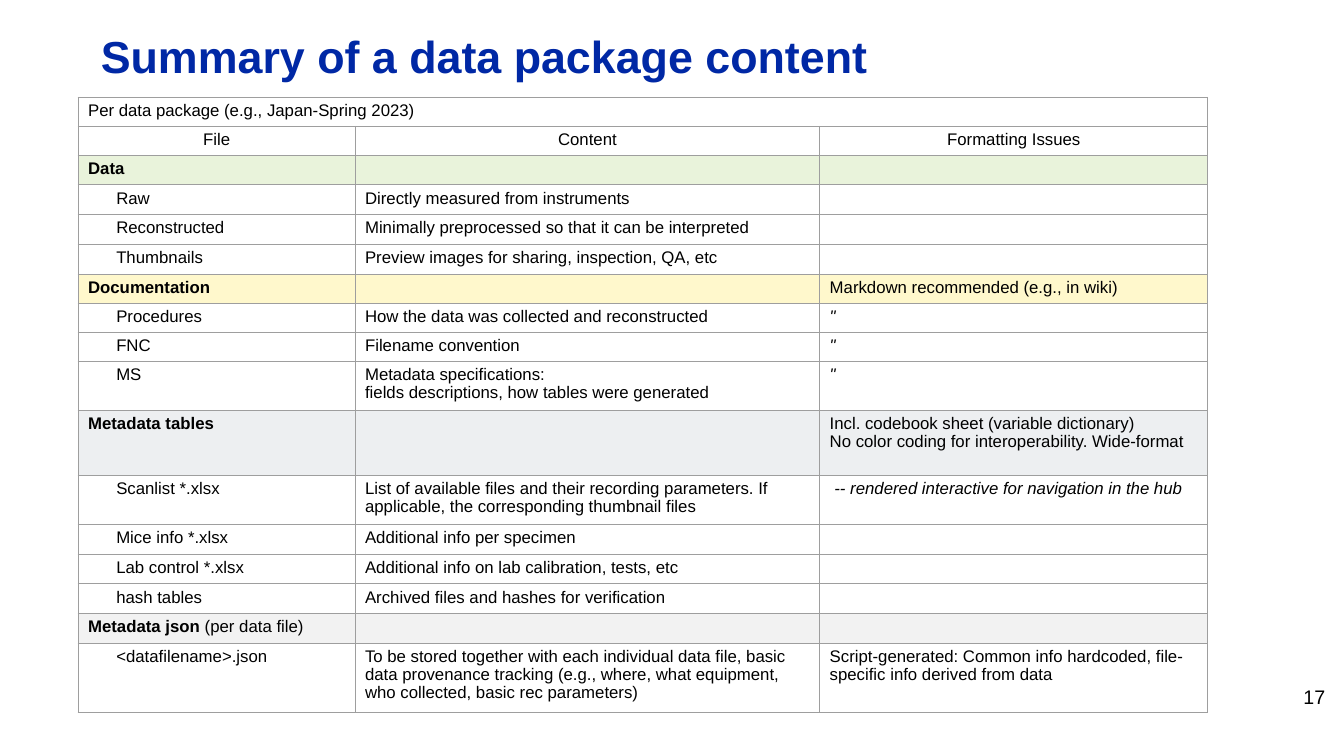
"""Build the slide that summarises the content of a data package in one table."""
import pptx
import pptx.util
import pptx.dml.color
import pptx.enum.text
import lxml.etree
from dataclasses import dataclass
from pptx.util import Cm

TITLE = "Summary of a data package content"
PAGE_NUMBER = "17"
CAPTION = "Per data package (e.g., Japan-Spring 2023)"
HEADINGS = ("File", "Content", "Formatting Issues")
DITTO = '"'
REMARK = " -- rendered interactive for navigation in the hub"
ITALIC = (DITTO, REMARK)

SECTIONS = [
    ("Data", "", "", "E9F3DB", [
        ("Raw", "Directly measured from instruments", ""),
        ("Reconstructed", "Minimally preprocessed so that it can be interpreted", ""),
        ("Thumbnails", "Preview images for sharing, inspection, QA, etc", ""),
    ]),
    ("Documentation", "", "Markdown recommended (e.g., in wiki)", "FFF8CC", [
        ("Procedures", "How the data was collected and reconstructed", DITTO),
        ("FNC", "Filename convention", DITTO),
        ("MS", "Metadata specifications:\nfields descriptions, how tables were generated", DITTO),
    ]),
    ("Metadata tables", "",
     "Incl. codebook sheet (variable dictionary)\n"
     "No color coding for interoperability. Wide-format", "EDEFF1", [
        ("Scanlist *.xlsx", "List of available files and their recording parameters. "
         "If applicable, the corresponding thumbnail files", REMARK),
        ("Mice info *.xlsx", "Additional info per specimen", ""),
        ("Lab control *.xlsx", "Additional info on lab calibration, tests, etc", ""),
        ("hash tables", "Archived files and hashes for verification", ""),
     ]),
    ("Metadata json", " (per data file)", "", "F2F2F2", [
        ("<datafilename>.json", "To be stored together with each individual data file, basic "
         "data provenance tracking (e.g., where, what equipment, who collected, "
         "basic rec parameters)",
         "Script-generated: Common info hardcoded, file-specific info derived from data"),
    ]),
]

ROW_HEIGHT = 0.73
TALL_ROWS = {"MS": 1.23, "Metadata tables": 1.64, "Scanlist *.xlsx": 1.23,
             "<datafilename>.json": 1.73}
COLUMN_WIDTHS = (6.98, 11.71, 9.78)


@dataclass(frozen=True)
class Theme:
    """Colours, font and type sizes."""
    font: str = "Arial"
    title: str = "0028A5"
    text: str = "000000"
    border: str = "9E9E9E"
    title_size: float = 32
    table_size: float = 12
    number_size: float = 14
    border_width: float = 0.75


THEME = Theme()
ALIGN = pptx.enum.text.PP_ALIGN
ANCHOR = pptx.enum.text.MSO_ANCHOR


def colour(value):
    """Turn a hex string into a colour."""
    return pptx.dml.color.RGBColor.from_string(value)


def style(span, size, ink=THEME.text, bold=False, italic=False):
    """Format one run."""
    span.font.name = THEME.font
    span.font.size = pptx.util.Pt(size)
    span.font.color.rgb = colour(ink)
    span.font.bold = bold
    span.font.italic = italic


def add_text(page, text, place, size, ink, bold, align, anchor, top_inset):
    """Add a single-line text box."""
    box = page.shapes.add_textbox(*(Cm(length) for length in place))
    frame = box.text_frame
    frame.word_wrap = True
    frame.margin_left = frame.margin_right = frame.margin_bottom = 0
    frame.margin_top = Cm(top_inset)
    frame.vertical_anchor = anchor
    frame.text = text
    frame.paragraphs[0].alignment = align
    style(frame.paragraphs[0].runs[0], size, ink, bold)


def add_child(parent, tag, **attributes):
    """Append a DrawingML element."""
    child = lxml.etree.SubElement(parent, pptx.oxml.ns.qn(tag))
    for name, value in attributes.items():
        child.set(name, value)
    return child


def draw_borders(cell):
    """Outline all four sides of a cell."""
    properties = cell._tc.get_or_add_tcPr()
    width = str(pptx.util.Pt(THEME.border_width))
    for side in ("a:lnL", "a:lnR", "a:lnT", "a:lnB"):
        line = add_child(properties, side, w=width)
        add_child(add_child(line, "a:solidFill"), "a:srgbClr", val=THEME.border)


def fill_cell(cell, text, fill=None, bold=False, align=ALIGN.LEFT, indent=0, note=""):
    """Write and format one table cell."""
    cell.margin_left = cell.margin_right = Cm(0.25)
    cell.margin_top = cell.margin_bottom = Cm(0.12)
    cell.vertical_anchor = ANCHOR.TOP
    draw_borders(cell)
    if fill:
        cell.fill.solid()
        cell.fill.fore_color.rgb = colour(fill)
    else:
        cell.fill.background()
    cell.text_frame.text = text
    for para in cell.text_frame.paragraphs:
        para.alignment = align
        para.line_spacing = 0.96
        if indent:
            para._p.get_or_add_pPr().set("marL", str(Cm(indent)))
        for span in para.runs:
            style(span, THEME.table_size, bold=bold, italic=text in ITALIC)
        if note:
            span = para.add_run()
            span.text = note
            style(span, THEME.table_size)
        add_child(para._p, "a:endParaRPr", sz=str(int(THEME.table_size * 100)))


def table_rows():
    """List every row as three cells, each a text with its formatting."""
    rows = [[(CAPTION, {}), ("", {}), ("", {})],
            [(heading, {"align": ALIGN.CENTER}) for heading in HEADINGS]]
    for name, note, issue, fill, files in SECTIONS:
        rows.append([(name, {"fill": fill, "bold": True, "note": note}),
                     ("", {"fill": fill}), (issue, {"fill": fill})])
        rows += [[(file, {"indent": 0.71}), (content, {}), (remark, {})]
                 for file, content, remark in files]
    return rows


def add_summary(page):
    """Add the summary table."""
    rows = table_rows()
    heights = [TALL_ROWS.get(row[0][0], ROW_HEIGHT) for row in rows]
    frame = page.shapes.add_table(len(rows), len(COLUMN_WIDTHS), Cm(1.97), Cm(2.45),
                                  Cm(sum(COLUMN_WIDTHS)), Cm(sum(heights)))
    table = frame.table
    table.first_row = table.horz_banding = False
    for column, width in zip(table.columns, COLUMN_WIDTHS):
        column.width = Cm(width)
    for table_row, height, row in zip(table.rows, heights, rows):
        table_row.height = Cm(height)
        for cell, (text, formatting) in zip(table_row.cells, row):
            fill_cell(cell, text, **formatting)
    table.cell(0, 0).merge(table.cell(0, len(COLUMN_WIDTHS) - 1))


def main():
    """Assemble and save the deck."""
    deck = pptx.Presentation()
    deck.slide_width, deck.slide_height = Cm(33.87), Cm(19.05)
    page = deck.slides.add_slide(deck.slide_layouts[6])
    add_text(page, TITLE, (2.54, 0.53, 28.8, 1.7), THEME.title_size, THEME.title,
             True, ALIGN.LEFT, ANCHOR.MIDDLE, 0.05)
    add_summary(page)
    add_text(page, PAGE_NUMBER, (31.37, 17.27, 2.03, 1.45), THEME.number_size, THEME.text,
             False, ALIGN.RIGHT, ANCHOR.TOP, 0)
    deck.save("out.pptx")


if __name__ == "__main__":
    main()
